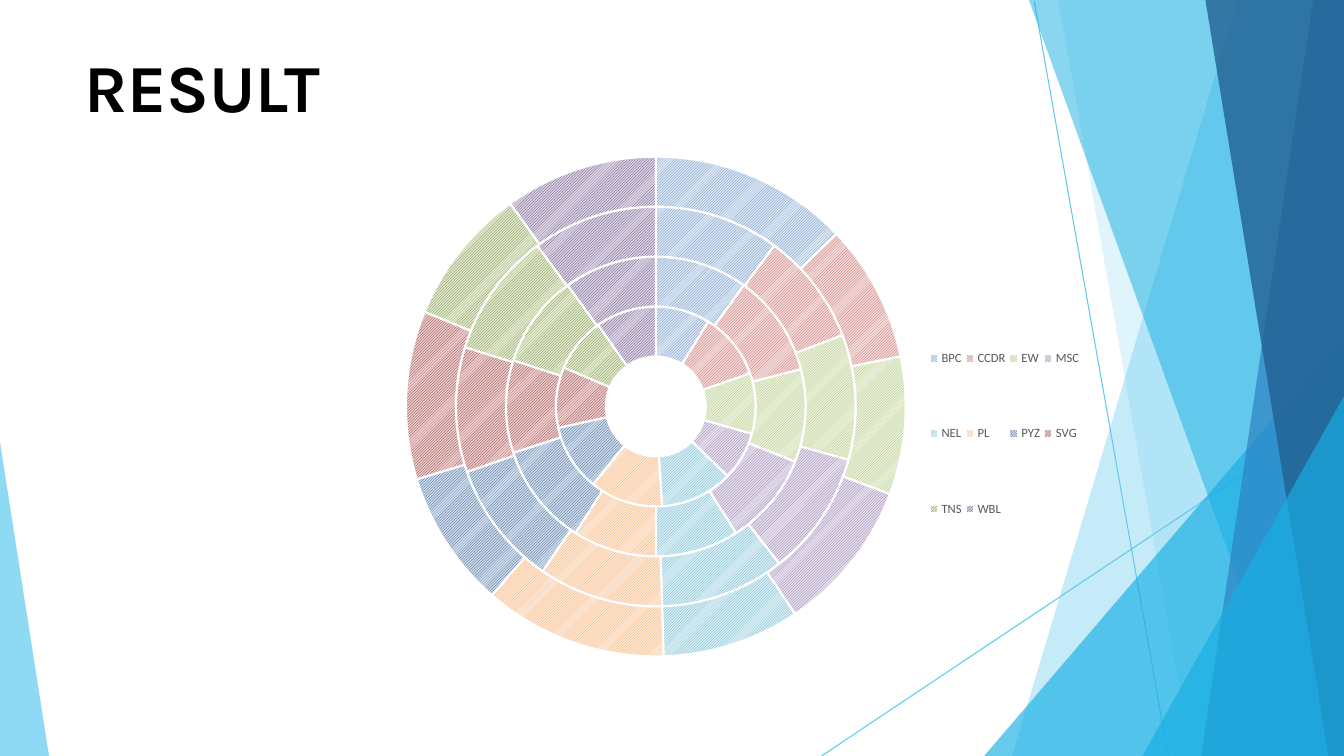
from lxml.etree import SubElement
from pptx import Presentation
from pptx.chart.data import CategoryChartData as ChartData
from pptx.dml.color import RGBColor as RGB
from pptx.enum.chart import XL_CHART_TYPE as CT, XL_LEGEND_POSITION as LP
from pptx.enum.dml import MSO_PATTERN as PATTERN
from pptx.enum.shapes import MSO_CONNECTOR as CONN
from pptx.enum.text import MSO_ANCHOR as ANCHOR, MSO_AUTO_SIZE as AUTO, PP_ALIGN as ALIGN
from pptx.oxml import parse_xml
from pptx.oxml.ns import nsdecls, qn
from pptx.util import Pt

W, H = 960, 540
COLORS = {
    "title": "000000", "legend": "595959", "edge": "FFFFFF",
    "sky": "5FCAEE", "cyan": "17AFE3", "blue": "2D83C3", "navy": "226192",
}
RAYS = [((738.7, 0.7), (834.5, H)), ((W, 290.9), (586.8, H))]
FACETS = [
    ("sky", 36, [(W, 0), (884.2, 0), (722.9, H), (W, H)]),
    ("sky", 20, [(W, 0), (756, 0), (851, H), (W, H)]),
    ("cyan", 66, [(W, 239.8), (703.4, H), (W, H)]),
    ("cyan", 50, [(W, 0), (735.1, 0), (929.5, H), (W, H)]),
    ("blue", 70, [(W, 0), (938.2, 0), (858.2, H), (W, H)]),
    ("navy", 80, [(W, 0), (861.1, 0), (949, H), (W, H)]),
    ("cyan", 66, [(W, 283), (816.5, H), (W, H)]),
    ("sky", 70, [(0, 316.1), (0, H), (35.3, H)]),
]
SLICES = {
    "BPC": ("4F81BD", "DCE6F2"), "CCDR": ("C0504D", "F2DCDB"),
    "EW": ("9BBB59", "EBF1DE"), "MSC": ("8064A2", "E6E0EC"),
    "NEL": ("4BACC6", "DBEEF4"), "PL": ("F79646", "FDEADA"),
    "PYZ": ("2C4D75", "CCDBEC"), "SVG": ("772C2A", "EDCCCC"),
    "TNS": ("5F7530", "E2EBCE"), "WBL": ("4D3B62", "DBD3E5"),
}
RINGS = [
    (9, 11, 10, 8, 12, 12, 11, 10, 9, 10),
    (10, 11, 10, 10, 9, 9, 11, 10, 10, 10),
    (10, 9, 10, 10, 10, 10, 10, 10, 10, 10),
    (13, 9, 9, 10, 9, 12, 9, 11, 9, 10),
]


def color(name):
    return RGB.from_string(COLORS[name])


def apply(obj, **values):
    for name, value in values.items():
        setattr(obj, name, value)


def add_ray(s, start, end):
    ray = s.shapes.add_connector(CONN.STRAIGHT, *map(Pt, start + end))
    ray.line.color.rgb = color("sky")
    ray.line.width = Pt(0.75)
    SubElement(ray._element.spPr, qn("a:effectLst"))


def add_facet(s, fill, opacity, points):
    builder = s.shapes.build_freeform(*points[0], scale=Pt(1))
    builder.add_line_segments(points[1:], close=True)
    sp = builder.convert_to_shape()
    sp.shadow.inherit = False
    sp.line.fill.background()
    sp.fill.solid()
    sp.fill.fore_color.rgb = color(fill)
    clr = sp._element.spPr.find(qn("a:solidFill"))[0]
    SubElement(clr, qn("a:alpha"), val=str(opacity * 1000))


def add_backdrop(s):
    for ray in RAYS:
        add_ray(s, *ray)
    for facet in FACETS:
        add_facet(s, *facet)


def add_title(s, text, x, y, w, h):
    sp = s.shapes.title
    s.shapes._spTree.append(sp._element)
    apply(sp, left=Pt(x), top=Pt(y), width=Pt(w), height=Pt(h))
    tf = sp.text_frame
    apply(tf, margin_left=0, margin_top=0, margin_right=0, margin_bottom=0,
          word_wrap=True, auto_size=AUTO.SHAPE_TO_FIT_TEXT, vertical_anchor=ANCHOR.BOTTOM)
    p = tf.paragraphs[0]
    p.alignment = ALIGN.LEFT
    r = p.add_run()
    r.text = text
    apply(r.font, name="Karla", size=Pt(48), bold=True)
    r.font.color.rgb = color("title")


def manual_layout(x, y, w, h, inner=False):
    target = '<c:layoutTarget val="inner"/>' if inner else ""
    parts = "".join(f'<c:{k}Mode val="edge"/>' for k in "xy")
    parts += "".join(f'<c:{k} val="{v}"/>' for k, v in zip("xywh", (x, y, w, h)))
    return parse_xml(f'<c:layout {nsdecls("c")}><c:manualLayout>{target}{parts}'
                     '</c:manualLayout></c:layout>')


def set_layout(parent, layout, after=None):
    for old in parent.findall(qn("c:layout")):
        parent.remove(old)
    if after is None:
        parent.insert(0, layout)
    else:
        parent.find(qn(after)).addnext(layout)


def add_rings(s, x, y, w, h):
    data = ChartData()
    data.categories = list(SLICES)
    for n, values in enumerate(RINGS, 1):
        data.add_series(f"Series {n}", values)
    chart = s.shapes.add_chart(CT.DOUGHNUT, Pt(x), Pt(y), Pt(w), Pt(h), data).chart
    apply(chart, has_title=False, has_legend=True)
    apply(chart.font, name="Calibri", size=Pt(10))
    apply(chart.legend, position=LP.RIGHT, include_in_layout=False)
    apply(chart.legend.font, name="Calibri", size=Pt(9))
    chart.legend.font.color.rgb = color("legend")
    plot = chart.plots[0]
    plot.vary_by_categories = True
    plot._element.find(qn("c:holeSize")).set("val", "70")
    for series in plot.series:
        for i, (fore, back) in enumerate(SLICES.values()):
            fmt = series.points[i].format
            fmt.fill.patterned()
            fmt.fill.pattern = PATTERN.LIGHT_UPWARD_DIAGONAL
            fmt.fill.fore_color.rgb = RGB.from_string(fore)
            fmt.fill.back_color.rgb = RGB.from_string(back)
            fmt.line.color.rgb = color("edge")
            fmt.line.width = Pt(1.5)
    area = chart._chartSpace.chart.plotArea
    set_layout(area, manual_layout(0.165, 0.026, 0.601, 0.945, inner=True))
    set_layout(chart.legend._element, manual_layout(0.79, 0.28, 0.19, 0.54), "c:legendPos")


def result_slide(prs):
    s = prs.slides.add_slide(prs.slide_layouts[5])
    add_backdrop(s)
    add_title(s, "RESULT", 60, 30, 901, 60)
    add_rings(s, 192, 102, 594, 378)


def main():
    prs = Presentation()
    apply(prs, slide_width=Pt(W), slide_height=Pt(H))
    result_slide(prs)
    prs.save("out.pptx")


if __name__ == "__main__":
    main()
